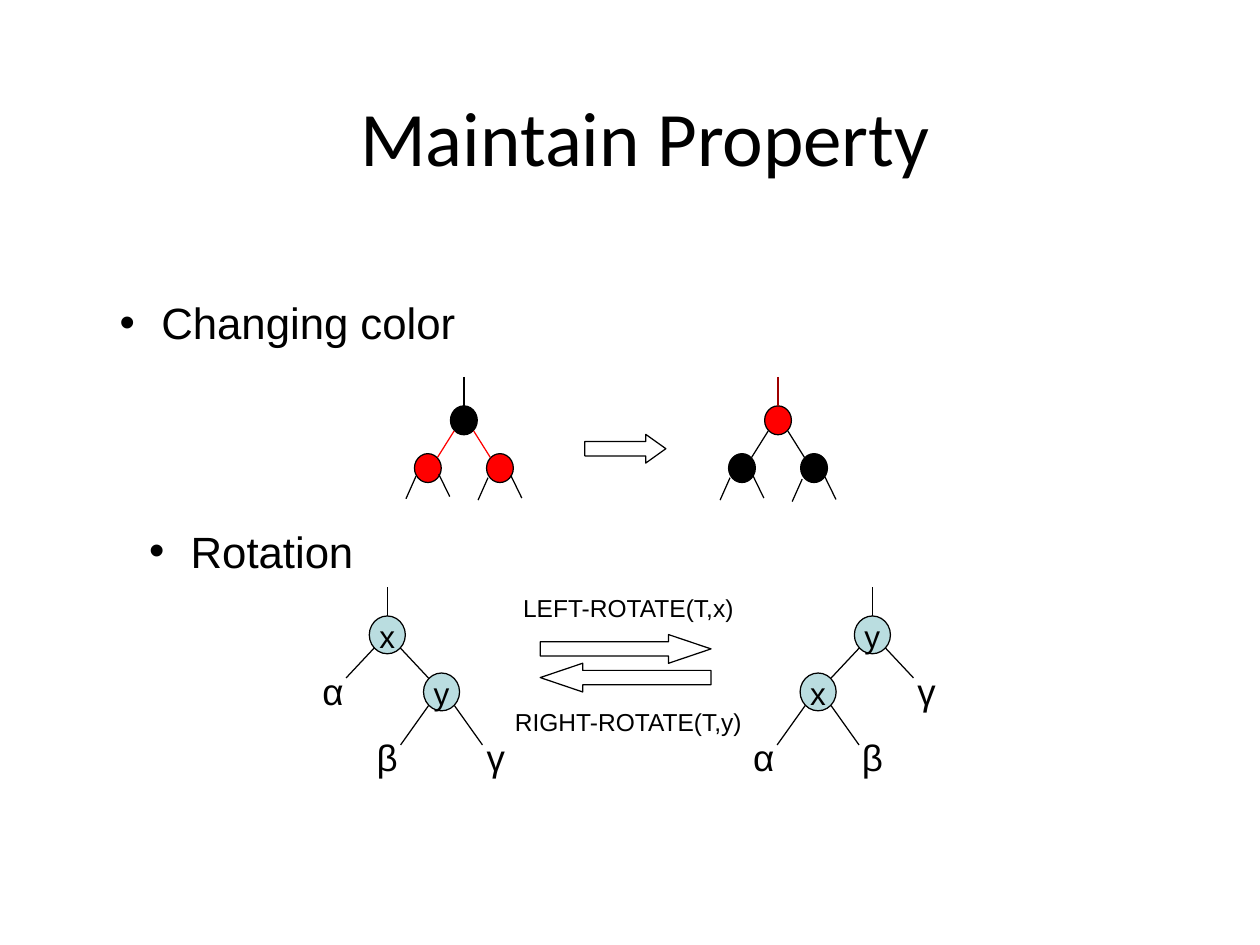
from typing import NamedTuple

from lxml import etree
from pptx import Presentation, util as u
from pptx.dml import color
from pptx.enum import shapes as kinds, text as txt
from pptx.oxml import ns

BLACK, RED, TEAL = "000000", "FF0000", "BADDE0"
LINE_WIDTH = 0.71


class ColorTree(NamedTuple):
    x: float
    root: str
    child: str
    edge: str
    stem: str
    leg_drop: float


class RotationTree(NamedTuple):
    x: float
    side: int  # -1: inner child on the left, 1: on the right
    root: str
    child: str
    root_leaf: str
    child_leaves: str


class Arrow(NamedTuple):
    kind: kinds.MSO_SHAPE
    left: float
    top: float
    width: float
    head: float  # head length as a share of the height


prs = Presentation()
prs.slide_width, prs.slide_height = u.Pt(720), u.Pt(540)
slide = prs.slides.add_slide(prs.slide_layouts[3])


def rgb(value: str) -> color.RGBColor:
    return color.RGBColor.from_string(value)


def place(shape, left: float, top: float, width: float, height: float) -> None:
    shape.left, shape.top = u.Pt(left), u.Pt(top)
    shape.width, shape.height = u.Pt(width), u.Pt(height)


def write(shape, words: str, size: float, font: str = "Arial",
          align=txt.PP_ALIGN.CENTER, anchor=txt.MSO_ANCHOR.MIDDLE,
          wrap: bool = False) -> None:
    frame = shape.text_frame
    frame.text = words
    frame.word_wrap = wrap
    frame.auto_size = txt.MSO_AUTO_SIZE.NONE
    frame.vertical_anchor = anchor
    frame.margin_left = frame.margin_right = frame.margin_bottom = 0
    frame.margin_top = u.Pt(0.7)
    paragraph = frame.paragraphs[0]
    paragraph.alignment = align
    paragraph.space_before = u.Pt(0)
    for run in paragraph.runs:
        run.font.size, run.font.name = u.Pt(size), font
        run.font.color.rgb = rgb(BLACK)


def write_bullet(holder, words: str) -> None:
    write(holder, words, 25, align=txt.PP_ALIGN.LEFT,
          anchor=txt.MSO_ANCHOR.TOP, wrap=True)
    props = holder.text_frame.paragraphs[0]._p.get_or_add_pPr()
    props.set("marL", str(u.Pt(24.5)))
    props.set("indent", str(u.Pt(-23.8)))
    etree.SubElement(props, ns.qn("a:buChar"), char="•")


def add_label(words: str, x: float, y: float, width: float, height: float,
              size: float) -> None:
    box = slide.shapes.add_textbox(u.Pt(x - width / 2), u.Pt(y - height / 2),
                                   u.Pt(width), u.Pt(height))
    write(box, words, size)


def add_edge(x1: float, y1: float, x2: float, y2: float, hue: str = BLACK):
    edge = slide.shapes.add_connector(kinds.MSO_CONNECTOR.STRAIGHT,
                                      u.Pt(x1), u.Pt(y1), u.Pt(x2), u.Pt(y2))
    edge.line.color.rgb = rgb(hue)
    edge.line.width = u.Pt(LINE_WIDTH)
    etree.SubElement(edge._element.spPr, ns.qn("a:effectLst"))
    return edge


def add_node(x: float, y: float, width: float, height: float, fill: str):
    node = slide.shapes.add_shape(kinds.MSO_SHAPE.OVAL, u.Pt(x - width / 2),
                                  u.Pt(y - height / 2), u.Pt(width), u.Pt(height))
    node.shadow.inherit = False
    node.fill.solid()
    node.fill.fore_color.rgb = rgb(fill)
    node.line.color.rgb = rgb(BLACK)
    node.line.width = u.Pt(LINE_WIDTH)
    return node


def add_stem(root, x: float, top: float, hue: str = BLACK) -> None:
    add_edge(x, top, x, top + 16.5, hue).end_connect(root, 0)


def draw_color_tree(tree: ColorTree) -> None:
    root_y, child_y = 240.2, 267.5
    root = add_node(tree.x, root_y, 15.3, 16.5, tree.root)
    add_stem(root, tree.x, 215.3, tree.stem)
    for order, side in enumerate((-1, 1)):
        child_x = tree.x + side * 20.6
        add_node(child_x, child_y, 15.3, 16.5, tree.child)
        add_edge(tree.x + side * 5.6, root_y + 6.1,
                 tree.x + side * 15.1, root_y + 21.2, tree.edge)
        leg_y = child_y + tree.leg_drop + order * 0.8
        add_edge(child_x - 6.8, leg_y + 4.7, child_x - 12.5, leg_y + 17.5)
        add_edge(child_x + 6.2, leg_y + 3.4, child_x + 12.5, leg_y + 16.3)


def draw_rotation_tree(tree: RotationTree) -> None:
    root_y, child_y, spread = 362.8, 395.4, 31
    child_x = tree.x + tree.side * spread
    root = add_node(tree.x, root_y, 20.6, 21.6, TEAL)
    write(root, tree.root, 18)
    write(add_node(child_x, child_y, 20.6, 21.6, TEAL), tree.child, 18)
    add_stem(root, tree.x, 335.5)
    for side, leaf in zip((-1, 1), tree.child_leaves):
        add_edge(tree.x + side * 7.3, root_y + 7.3,
                 tree.x + side * 23.5, root_y + 24.6)
        add_edge(child_x + side * 7.4, child_y + 7.8,
                 child_x + side * 23.4, child_y + 30.3)
        add_label(leaf, child_x + side * spread, 432.4, 14.4, 26.6, 21)
    add_label(tree.root_leaf, tree.x - tree.side * spread, 394.2, 14.4, 26.6, 21)


def draw_arrow(arrow: Arrow) -> None:
    shape = slide.shapes.add_shape(arrow.kind, u.Pt(arrow.left), u.Pt(arrow.top),
                                   u.Pt(arrow.width), u.Pt(16.4))
    shape.adjustments[0], shape.adjustments[1] = 0.5, arrow.head
    shape.shadow.inherit = False
    shape.fill.background()
    shape.line.color.rgb = rgb(BLACK)
    shape.line.width = u.Pt(LINE_WIDTH)


# Title and the two list entries
title, changing, rotation = slide.placeholders
place(title, 152, 50.4, 433.4, 54)
write(title, "Maintain Property", 44, "Calibri", wrap=True)
place(changing, 67.7, 168.5, 222.5, 31)
write_bullet(changing, "Changing color")
place(rotation, 84.5, 299, 133, 31)
write_bullet(rotation, "Rotation")

# Changing color: before and after
for color_tree in (ColorTree(265.1, BLACK, RED, RED, BLACK, 0),
                   ColorTree(444.6, RED, BLACK, BLACK, "9E0000", 0.8)):
    draw_color_tree(color_tree)

# Rotation: the two forms
for rotation_tree in (RotationTree(221.3, 1, "x", "y", "α", "βγ"),
                      RotationTree(498.5, -1, "y", "x", "γ", "αβ")):
    draw_rotation_tree(rotation_tree)

# Arrows and their captions
for step in (Arrow(kinds.MSO_SHAPE.RIGHT_ARROW, 334.2, 248.2, 46.3, 0.7),
             Arrow(kinds.MSO_SHAPE.RIGHT_ARROW, 308.7, 362.6, 97.6, 1.48),
             Arrow(kinds.MSO_SHAPE.LEFT_ARROW, 308.7, 379, 97.6, 1.48)):
    draw_arrow(step)
add_label("LEFT-ROTATE(T,x)", 359.1, 346.7, 123, 18, 14)
add_label("RIGHT-ROTATE(T,y)", 359.1, 412.3, 132.5, 18, 14)

prs.save("out.pptx")
